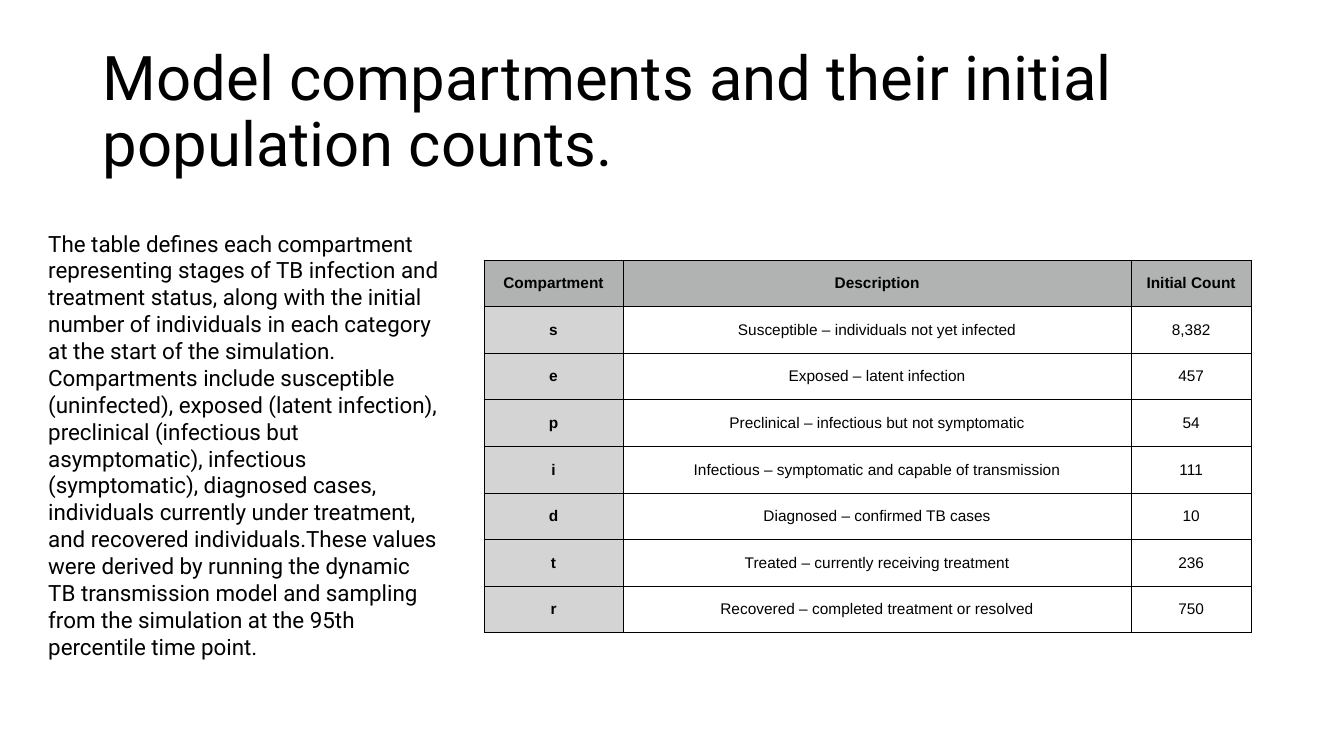
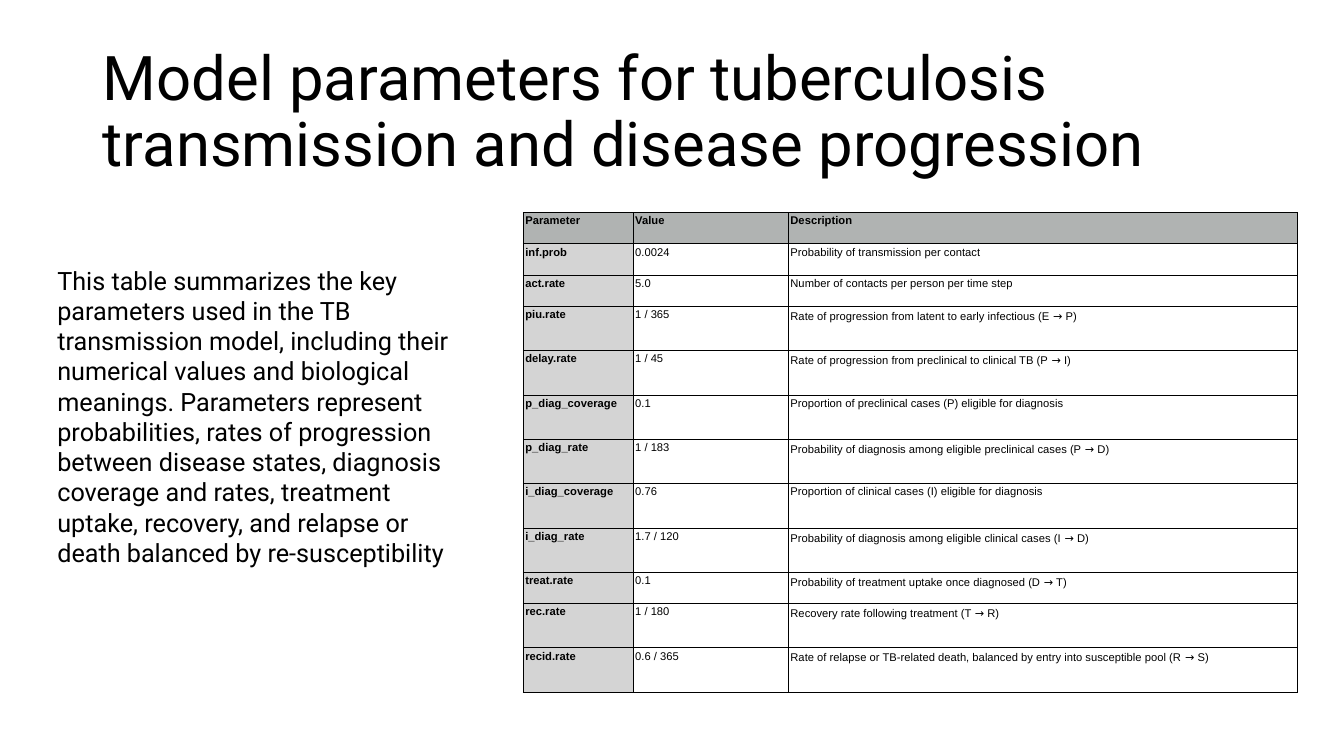
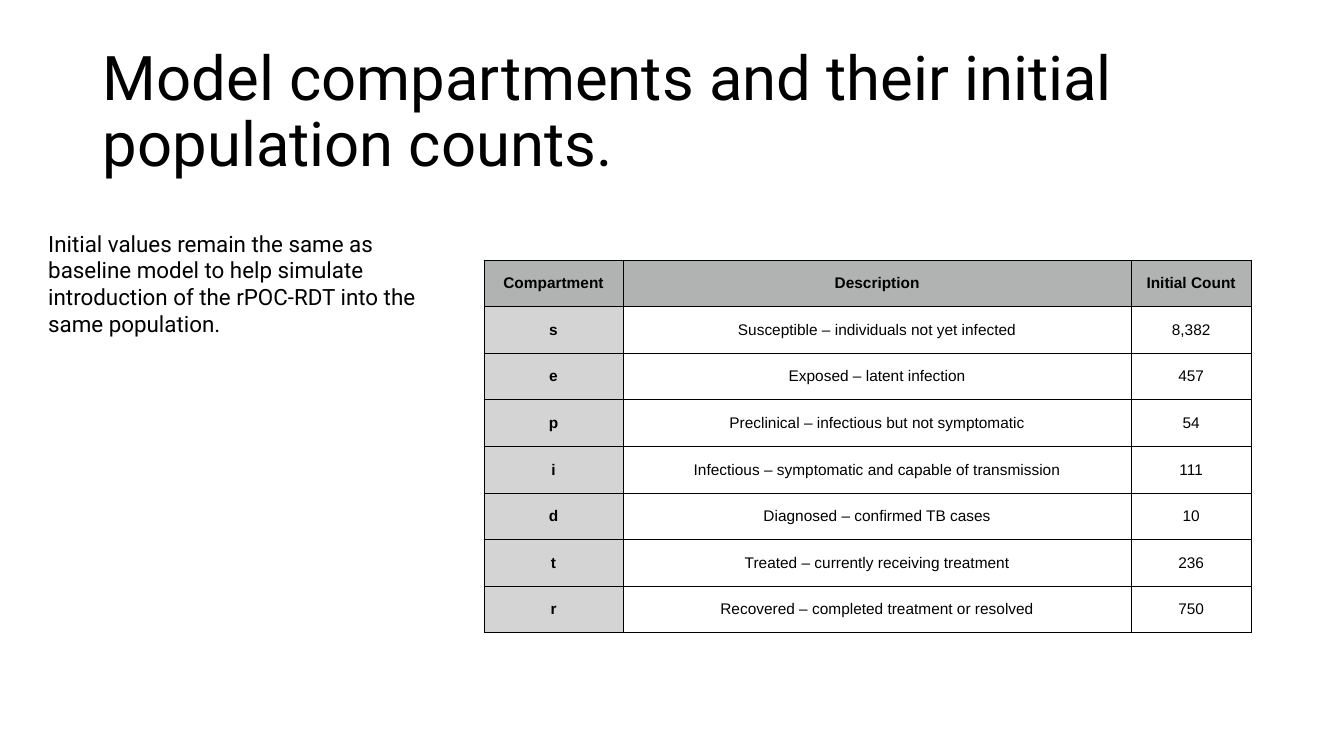
import dataclasses

import pptx
import pptx.dml.color
import pptx.enum.text
import pptx.oxml.ns
import pptx.slide
import pptx.table
import pptx.text.text
import pptx.util
from lxml import etree

Inches = pptx.util.Inches
Pt = pptx.util.Pt
Align = pptx.enum.text.PP_ALIGN
Anchor = pptx.enum.text.MSO_ANCHOR
AutoSize = pptx.enum.text.MSO_AUTO_SIZE

# Shared look
COLORS = {"text": "000000", "border": "000000", "header": "B0B3B2", "label": "D4D4D4"}
TEXT_FONT, TABLE_FONT, ARROW_FONT = "Roboto", "Arial", "Noto Sans"
BORDER_WIDTH = Pt(0.75)
ARROW = "→"
TITLE_ONLY = 5


@dataclasses.dataclass(frozen=True)
class TableSpec:
    left: float
    top: float
    columns: tuple[float, ...]
    heights: tuple[float, ...]
    size: float
    margin: float
    align: Align
    anchor: Anchor
    rows: tuple[tuple[str, ...], ...]


@dataclasses.dataclass(frozen=True)
class Summary:
    left: float
    top: float
    height: float
    size: float
    text: str
    width: float = 4.08


@dataclasses.dataclass(frozen=True)
class PageSpec:
    title: str
    table: TableSpec
    summary: Summary


# Content
COMPARTMENT_ROWS = (
    ("Compartment", "Description", "Initial Count"),
    ("s", "Susceptible – individuals not yet infected", "8,382"),
    ("e", "Exposed – latent infection", "457"),
    ("p", "Preclinical – infectious but not symptomatic", "54"),
    ("i", "Infectious – symptomatic and capable of transmission", "111"),
    ("d", "Diagnosed – confirmed TB cases", "10"),
    ("t", "Treated – currently receiving treatment", "236"),
    ("r", "Recovered – completed treatment or resolved", "750"),
)
PARAMETER_ROWS = (
    ("Parameter", "Value", "Description"),
    ("inf.prob", "0.0024", "Probability of transmission per contact"),
    ("act.rate", "5.0", "Number of contacts per person per time step"),
    ("piu.rate", "1 / 365", "Rate of progression from latent to early infectious (E → P)"),
    ("delay.rate", "1 / 45", "Rate of progression from preclinical to clinical TB (P → I)"),
    ("p_diag_coverage", "0.1", "Proportion of preclinical cases (P) eligible for diagnosis"),
    ("p_diag_rate", "1 / 183", "Probability of diagnosis among eligible preclinical cases (P → D)"),
    ("i_diag_coverage", "0.76", "Proportion of clinical cases (I) eligible for diagnosis"),
    ("i_diag_rate", "1.7 / 120", "Probability of diagnosis among eligible clinical cases (I → D)"),
    ("treat.rate", "0.1", "Probability of treatment uptake once diagnosed (D → T)"),
    ("rec.rate", "1 / 180", "Recovery rate following treatment (T → R)"),
    ("recid.rate", "0.6 / 365",
     "Rate of relapse or TB-related death, balanced by entry into susceptible pool (R → S)"),
)
SHORT_ROW, TALL_ROW = 0.31, 0.44

COMPARTMENTS = TableSpec(
    left=4.8, top=2.58, columns=(1.38, 5.04, 1.19),
    heights=(3.7 / len(COMPARTMENT_ROWS),) * len(COMPARTMENT_ROWS),
    size=11, margin=0.03, align=Align.CENTER, anchor=Anchor.MIDDLE, rows=COMPARTMENT_ROWS)
PARAMETERS = TableSpec(
    left=5.19, top=2.11, columns=(1.09, 1.54, 5.05),
    heights=(SHORT_ROW,) * 3 + (TALL_ROW,) * 6 + (SHORT_ROW,) + (TALL_ROW,) * 2,
    size=8, margin=0.02, align=Align.LEFT, anchor=Anchor.TOP, rows=PARAMETER_ROWS)

COMPARTMENT_TITLE = "Model compartments and their initial population counts."
PAGES = (
    PageSpec(COMPARTMENT_TITLE, COMPARTMENTS, Summary(
        0.38, 2.23, 4.41, 16,
        "The table defines each compartment representing stages of TB infection and treatment "
        "status, along with the initial number of individuals in each category at the start of "
        "the simulation. Compartments include susceptible (uninfected), exposed (latent "
        "infection), preclinical (infectious but asymptomatic), infectious (symptomatic), "
        "diagnosed cases, individuals currently under treatment, and recovered "
        "individuals.These values were derived by running the dynamic TB transmission model "
        "and sampling from the simulation at the 95th percentile time point.")),
    PageSpec("Model parameters for tuberculosis transmission and disease progression",
             PARAMETERS, Summary(
        0.47, 2.58, 3.13, 18,
        "This table summarizes the key parameters used in the TB transmission model, including "
        "their numerical values and biological meanings. Parameters represent probabilities, "
        "rates of progression between disease states, diagnosis coverage and rates, treatment "
        "uptake, recovery, and relapse or death balanced by re-susceptibility")),
    PageSpec(COMPARTMENT_TITLE, COMPARTMENTS, Summary(
        0.38, 2.23, 1.18, 16,
        "Initial values remain the same as baseline model to help simulate introduction of the "
        "rPOC-RDT into the same population.")),
)


def color(name: str) -> pptx.dml.color.RGBColor:
    return pptx.dml.color.RGBColor.from_string(COLORS[name])


def style_paragraph(para: pptx.text.text._Paragraph, font: str, size: float,
                    align: Align = Align.LEFT, bold: bool = False) -> None:
    para.alignment = align
    para.font.name = font
    para.font.size = Pt(size)
    para.font.bold = bold
    para.font.color.rgb = color("text")


def add_title(page: pptx.slide.Slide, text: str) -> None:
    title = page.shapes.title
    title.left, title.top = Inches(0.92), Inches(0.4)
    title.width, title.height = Inches(11.5), Inches(1.45)
    frame = title.text_frame
    frame.text = text
    frame.auto_size = AutoSize.NONE
    frame.vertical_anchor = Anchor.MIDDLE
    para = frame.paragraphs[0]
    para.line_spacing = 0.9
    style_paragraph(para, TEXT_FONT, 44)


def add_summary(page: pptx.slide.Slide, summary: Summary) -> None:
    box = page.shapes.add_textbox(Inches(summary.left), Inches(summary.top),
                                  Inches(summary.width), Inches(summary.height))
    frame = box.text_frame
    frame.word_wrap = True
    frame.auto_size = AutoSize.SHAPE_TO_FIT_TEXT
    frame.text = summary.text
    style_paragraph(frame.paragraphs[0], TEXT_FONT, summary.size)


def add_borders(cell: pptx.table._Cell) -> None:
    properties = cell._tc.get_or_add_tcPr()
    qn = pptx.oxml.ns.qn
    for side in ("L", "R", "T", "B"):
        line = etree.SubElement(properties, qn(f"a:ln{side}"), w=str(int(BORDER_WIDTH)))
        fill = etree.SubElement(line, qn("a:solidFill"))
        etree.SubElement(fill, qn("a:srgbClr"), val=COLORS["border"])


def fill_cell(cell: pptx.table._Cell, text: str, table: TableSpec, fill: str | None) -> None:
    add_borders(cell)
    if fill:
        cell.fill.solid()
        cell.fill.fore_color.rgb = color(fill)
    else:
        cell.fill.background()
    cell.margin_left = cell.margin_right = Inches(table.margin)
    cell.margin_top = cell.margin_bottom = Inches(table.margin)
    cell.vertical_anchor = table.anchor
    para = cell.text_frame.paragraphs[0]
    style_paragraph(para, TABLE_FONT, table.size, table.align, bold=fill is not None)
    # Arrows have a font of their own
    for part in filter(None, text.partition(ARROW)):
        span = para.add_run()
        span.text = part
        if part == ARROW:
            span.font.name = ARROW_FONT


def add_data_table(page: pptx.slide.Slide, table: TableSpec) -> None:
    grid = page.shapes.add_table(
        len(table.rows), len(table.columns), Inches(table.left), Inches(table.top),
        Inches(sum(table.columns)), Inches(sum(table.heights))).table
    grid.first_row = grid.horz_banding = False
    for column, width in zip(grid.columns, table.columns):
        column.width = Inches(width)
    for row, height in zip(grid.rows, table.heights):
        row.height = Inches(height)
    for row_index, texts in enumerate(table.rows):
        for column_index, text in enumerate(texts):
            fill = "header" if row_index == 0 else "label" if column_index == 0 else None
            fill_cell(grid.cell(row_index, column_index), text, table, fill)


def main() -> None:
    deck = pptx.Presentation()
    deck.slide_width, deck.slide_height = Inches(13.33), Inches(7.5)
    for content in PAGES:
        page = deck.slides.add_slide(deck.slide_layouts[TITLE_ONLY])
        add_title(page, content.title)
        add_data_table(page, content.table)
        add_summary(page, content.summary)
    deck.save("out.pptx")


if __name__ == "__main__":
    main()
